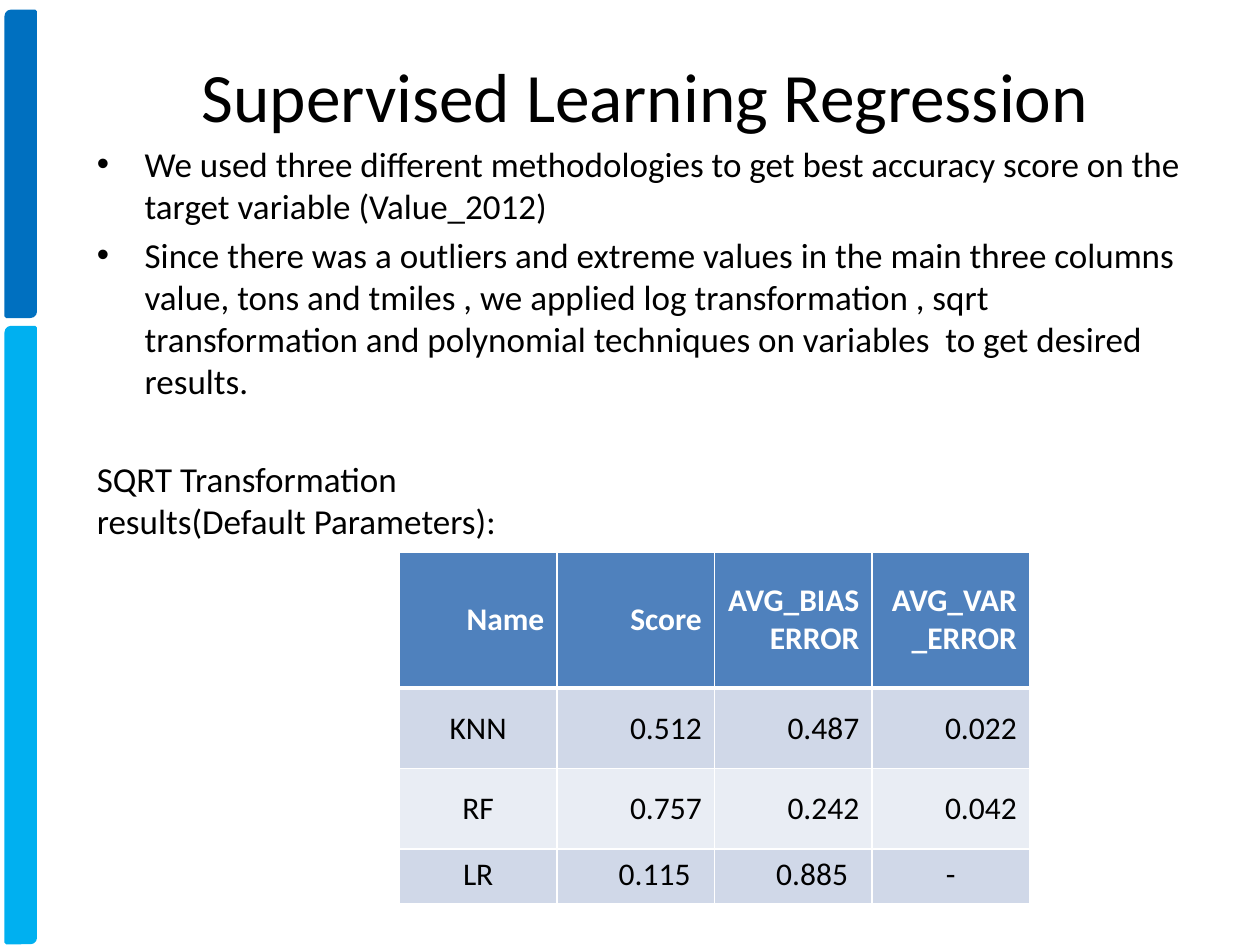
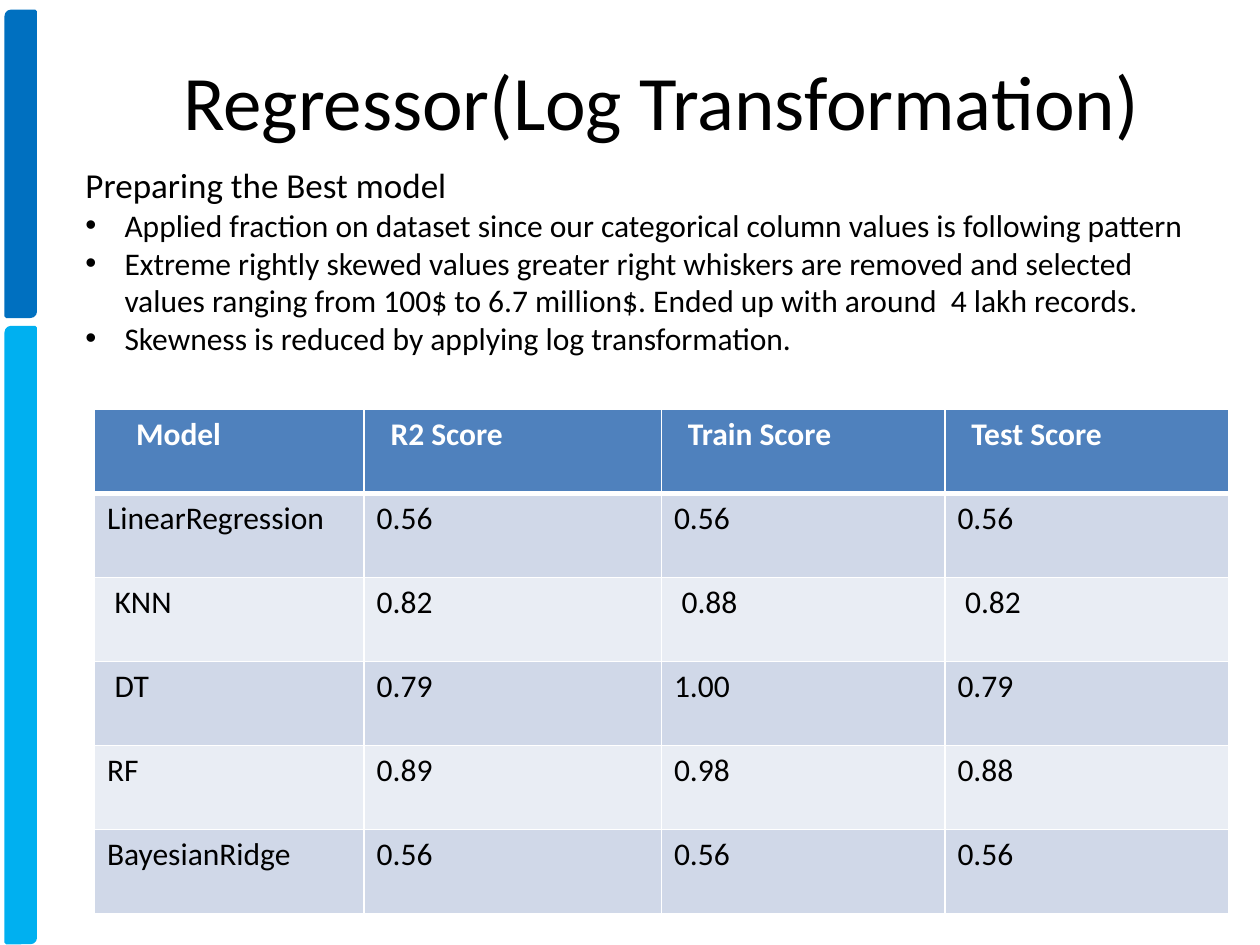
import pptx
import pptx.dml.color
import pptx.enum.shapes
import pptx.enum.text
import pptx.oxml
import pptx.oxml.ns
import pptx.util
import lxml.etree

RGBColor = pptx.dml.color.RGBColor
ALIGN = pptx.enum.text.PP_ALIGN
ANCHOR = pptx.enum.text.MSO_ANCHOR

BLACK = RGBColor(0x00, 0x00, 0x00)
WHITE = RGBColor(0xFF, 0xFF, 0xFF)
DARK_BLUE = RGBColor(0x00, 0x70, 0xC0)
SKY_BLUE = RGBColor(0x00, 0xB0, 0xF0)
HEADER_BLUE = RGBColor(0x4F, 0x81, 0xBD)
ROW_TINTS = (RGBColor(0xD0, 0xD8, 0xE8), RGBColor(0xE9, 0xED, 0xF4))

FONT = "Calibri"
SLIDE_WIDTH = pptx.util.Inches(10)
SLIDE_HEIGHT = pptx.util.Inches(7.5)
CELL_INSET = 0.1
SIDE_BANDS = ((DARK_BLUE, 1.2, 32.27), (SKY_BLUE, 34.67, 65.07))

METHOD_NOTES = (
    ("We used three different methodologies to get best accuracy score on the "
     "target variable (Value_2012)", 20, True, 4),
    ("Since there was a outliers and extreme values in the main three columns\n"
     "value, tons and tmiles , we applied log transformation , sqrt transformation "
     "and polynomial techniques on variables  to get desired results.", 20, True, 4),
    ("SQRT Transformation\nresults(Default Parameters):", 20, False, 32),
)
SQRT_RESULTS = (
    ("Name", "Score", "AVG_BIAS ERROR", "AVG_VAR_ERROR"),
    ("KNN", "0.512", "0.487", "0.022"),
    ("RF", "0.757", "0.242", "0.042"),
    ("LR", "0.115", "0.885", "-"),
)
MODEL_NOTES = (
    ("Preparing the Best model", 20, False, 0),
    ("Applied fraction on dataset since our categorical column values is "
     "following pattern", 18, True, 0),
    ("Extreme rightly skewed values greater right whiskers are removed and selected "
     "values ranging from 100$ to 6.7 million$. Ended up with around  4 lakh records.",
     18, True, 0),
    ("Skewness is reduced by applying log transformation.", 18, True, 0),
)
LOG_RESULTS = (
    ("Model", "R2 Score", "Train Score", "Test Score"),
    ("LinearRegression", "0.56", "0.56", "0.56"),
    ("KNN", "0.82", "0.88", "0.82"),
    ("DT", "0.79", "1.00", "0.79"),
    ("RF", "0.89", "0.98", "0.88"),
    ("BayesianRidge", "0.56", "0.56", "0.56"),
)
LOG_INDENTS = {(0, 0): 0.23, (0, 1): 0.11, (0, 2): 0.11, (0, 3): 0.11,
               (2, 0): 0.06, (2, 2): 0.06, (2, 3): 0.06, (3, 0): 0.06}


def area(left, top, width, height):
    """Turn percentages of the slide's size into lengths."""
    return (int(SLIDE_WIDTH * left / 100), int(SLIDE_HEIGHT * top / 100),
            int(SLIDE_WIDTH * width / 100), int(SLIDE_HEIGHT * height / 100))


def format_runs(para, size, color=BLACK, bold=False):
    """Give every run of a paragraph the same look."""
    for span in para.runs:
        span.font.name = FONT
        span.font.size = pptx.util.Pt(size)
        span.font.color.rgb = color
        span.font.bold = bold


def add_bands(page):
    """Draw the two upright bands at the left edge."""
    for color, top, height in SIDE_BANDS:
        band = page.shapes.add_shape(
            pptx.enum.shapes.MSO_SHAPE.ROUND_2_DIAG_RECTANGLE, *area(0.5, top, 2.3, height))
        band.shadow.inherit = False
        band.fill.solid()
        band.fill.fore_color.rgb = color
        band.line.color.rgb = color
        band.line.width = pptx.util.Pt(2)


def add_page(deck, title, size, place):
    """Add a titled slide with the shared bands."""
    page = deck.slides.add_slide(deck.slide_layouts[5])
    add_bands(page)
    heading = page.shapes.title
    heading.left, heading.top, heading.width, heading.height = area(*place)
    frame = heading.text_frame
    frame.text = title
    frame.auto_size = pptx.enum.text.MSO_AUTO_SIZE.NONE
    frame.vertical_anchor = ANCHOR.MIDDLE
    frame.paragraphs[0].alignment = ALIGN.CENTER
    format_runs(frame.paragraphs[0], size)
    return page


def add_bullet(para, indent):
    """Give a paragraph a round bullet with a hanging indent."""
    properties = para._p.get_or_add_pPr()
    hang = pptx.util.Inches(indent)
    properties.set("marL", str(hang))
    properties.set("indent", str(-hang))
    font = lxml.etree.SubElement(properties, pptx.oxml.ns.qn("a:buFont"))
    font.set("typeface", "Arial")
    bullet = lxml.etree.SubElement(properties, pptx.oxml.ns.qn("a:buChar"))
    bullet.set("char", "•")


def add_notes(page, notes, place, indent):
    """Add a text box of plain and bulleted paragraphs."""
    box = page.shapes.add_textbox(*area(*place))
    frame = box.text_frame
    frame.word_wrap = True
    for number, (text, size, bulleted, gap) in enumerate(notes):
        para = frame.add_paragraph() if number else frame.paragraphs[0]
        para.text = text
        para.space_before = pptx.util.Pt(gap)
        format_runs(para, size)
        if bulleted:
            add_bullet(para, indent)


def add_border(cell, side, width):
    """Draw one white edge of a cell."""
    line = lxml.etree.SubElement(cell._tc.get_or_add_tcPr(), pptx.oxml.ns.qn("a:ln" + side))
    line.set("w", str(pptx.util.Pt(width)))
    fill = lxml.etree.SubElement(line, pptx.oxml.ns.qn("a:solidFill"))
    color = lxml.etree.SubElement(fill, pptx.oxml.ns.qn("a:srgbClr"))
    color.set("val", str(WHITE))


def style_cell(cell, row):
    """Set the borders, fill and text look for a row of the table."""
    for side in "LRTB":
        thick = (row, side) in ((0, "B"), (1, "T"))
        add_border(cell, side, 3 if thick else 1)
    header = row == 0
    cell.fill.solid()
    cell.fill.fore_color.rgb = HEADER_BLUE if header else ROW_TINTS[(row - 1) % 2]
    format_runs(cell.text_frame.paragraphs[0], 18, WHITE if header else BLACK, header)


def add_results(page, rows, place, column_widths, row_heights):
    """Add a banded results table and return it."""
    table = page.shapes.add_table(len(rows), len(rows[0]), *area(*place)).table
    for column, width in zip(table.columns, column_widths):
        column.width = pptx.util.Inches(width)
    for line, height in zip(table.rows, row_heights):
        line.height = pptx.util.Inches(height)
    for row, texts in enumerate(rows):
        for column, text in enumerate(texts):
            cell = table.cell(row, column)
            cell.text = text
            style_cell(cell, row)
    return table


def align_sqrt_results(table):
    """Align numbers right and model names to the centre."""
    last = len(SQRT_RESULTS) - 1
    for row, texts in enumerate(SQRT_RESULTS):
        for column, text in enumerate(texts):
            cell = table.cell(row, column)
            centred = text == "-" or (row and column == 0)
            cell.text_frame.paragraphs[0].alignment = ALIGN.CENTER if centred else ALIGN.RIGHT
            cell.vertical_anchor = ANCHOR.TOP if row == last else ANCHOR.MIDDLE
            if row == last and not centred:
                cell.margin_right = pptx.util.Inches(CELL_INSET + 0.09)


def indent_log_results(table):
    """Move single cells' text in from the left."""
    for (row, column), indent in LOG_INDENTS.items():
        table.cell(row, column).margin_left = pptx.util.Inches(CELL_INSET + indent)


def main():
    """Build both slides and save the deck."""
    deck = pptx.Presentation()
    deck.slide_width, deck.slide_height = SLIDE_WIDTH, SLIDE_HEIGHT

    page = add_page(deck, "Supervised Learning Regression", 39.6, (6.2, 5.6, 90, 8.93))
    add_notes(page, METHOD_NOTES, (6.7, 14.4, 90, 81.07), 0.38)
    table = add_results(page, SQRT_RESULTS, (31.7, 58.4, 50, 37.2),
                        [1.25] * 4, (1.08, 0.64, 0.64, 0.43))
    align_sqrt_results(table)

    page = add_page(deck, "Regressor(Log Transformation)", 44, (7.5, 4.4, 90, 12.27))
    table = add_results(page, LOG_RESULTS, (7.5, 43.33, 90, 53.33),
                        (2.14, 2.36, 2.25, 2.25), [4 / 6] * 6)
    indent_log_results(table)
    add_notes(page, MODEL_NOTES, (5.8, 16.67, 89.2, 26), 0.31)

    deck.save("out.pptx")


if __name__ == "__main__":
    main()
